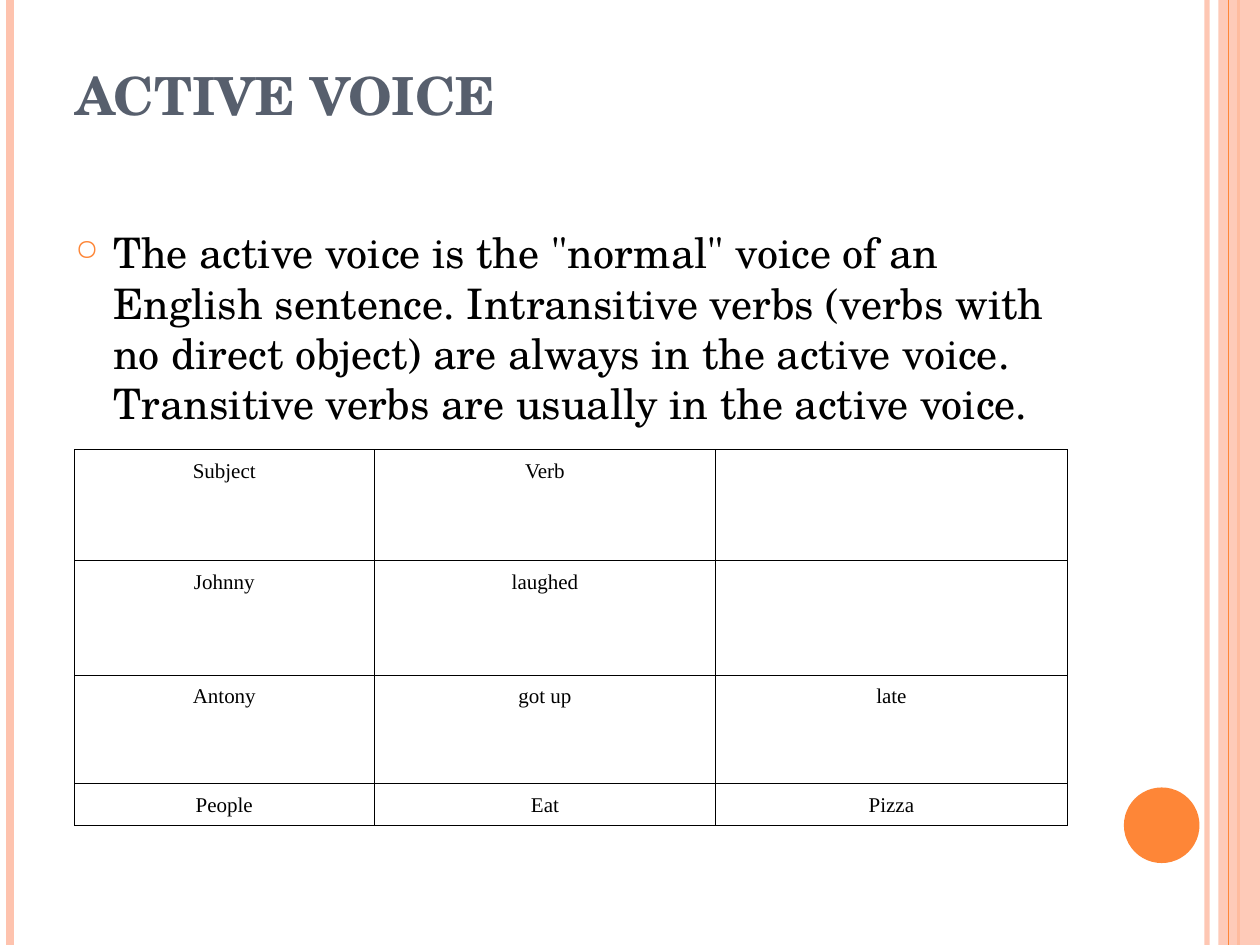
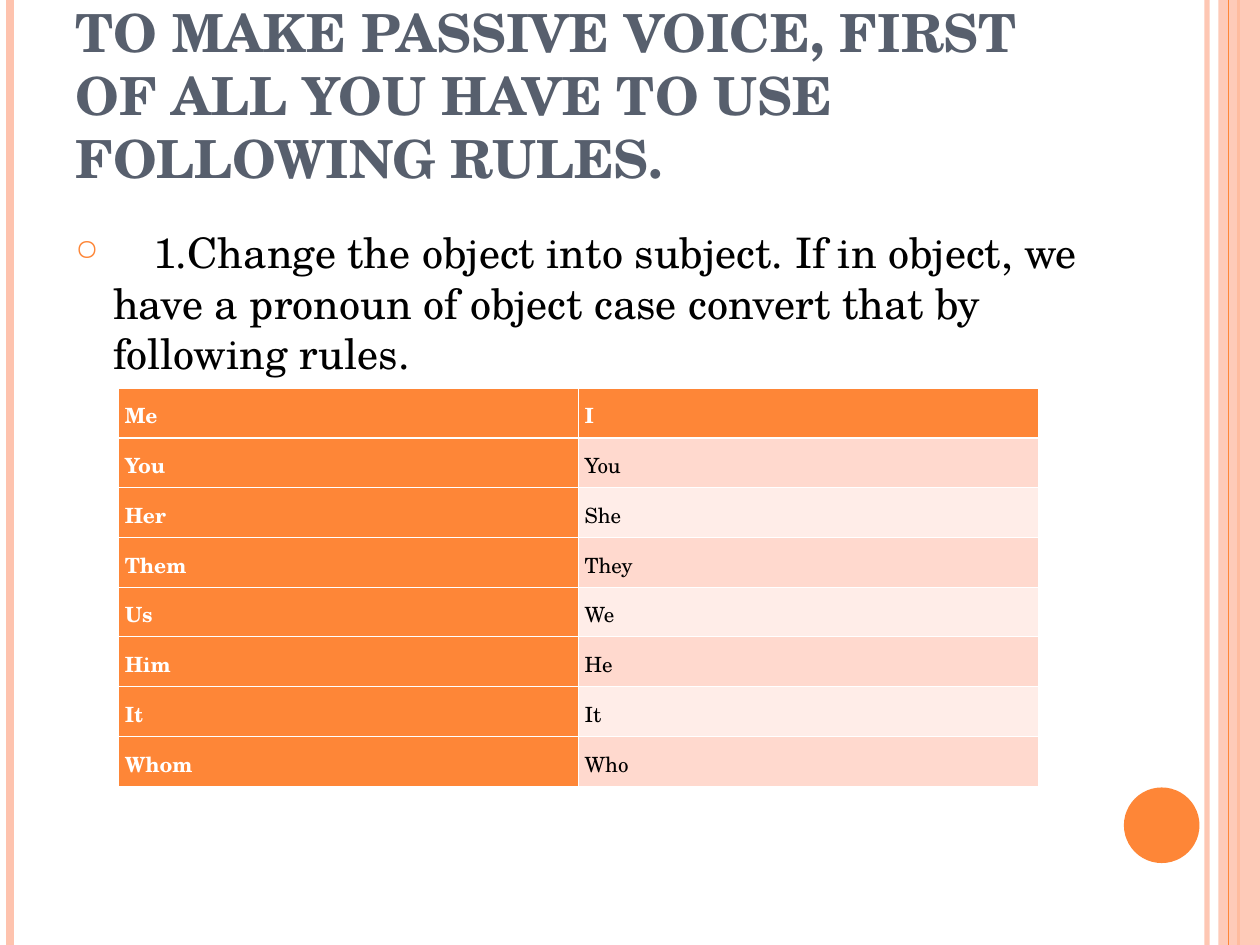
"""Build two grammar slides on the active and the passive voice."""
from lxml.etree import SubElement
from pptx import Presentation
from pptx.dml.color import RGBColor
from pptx.enum.shapes import MSO_CONNECTOR, MSO_SHAPE
from pptx.enum.text import MSO_ANCHOR, PP_ALIGN
from pptx.oxml.ns import qn
from pptx.util import Inches, Pt

W, H = 10, 7.5
SERIF, TIMES = "TeX Gyre Schola", "Times New Roman"
ORANGE, PEACH, SLATE = "FE8637", "FEC3AE", "575F6D"
BLACK, WHITE = "000000", "FFFFFF"
BANDS = ["FFD9CE", "FFEDE8"]

STRIPES_BACK = [(9.58, PEACH, 3, 93), (0.08, PEACH, 4.5, 100), (9.83, ORANGE, 1.5, 100)]
STRIPES_FRONT = [(9.75, ORANGE, 0.75, 100)]

ACTIVE = {
    "title": "ACTIVE VOICE",
    "body": 'The active voice is the "normal" voice of an English sentence. '
            "Intransitive verbs (verbs with no direct object) are always in the "
            "active voice. Transitive verbs are usually in the active voice.",
    "rows": [("Subject", "Verb", ""), ("Johnny", "laughed", ""),
             ("Antony", "got up", "late"), ("People", "Eat", "Pizza")],
    "at": (0.59, 3.57), "widths": [2.38, 2.71, 2.79], "heights": [0.88, 0.91, 0.86, 0.32],
}
PASSIVE = {
    "title": "TO MAKE PASSIVE VOICE, FIRST OF ALL YOU HAVE TO USE FOLLOWING RULES.",
    "body": "\t1.Change the object into subject. If in object, we have a pronoun "
            "of object case convert that by following rules.",
    "rows": [("Me", "I"), ("You", "You"), ("Her", "She"), ("Them", "They"),
             ("Us", "We"), ("Him", "He"), ("It", "It"), ("Whom", "Who")],
    "at": (0.94, 3.08), "widths": [3.65] * 2, "heights": [3.16 / 8] * 8,
}


def rgb(code):
    return RGBColor.from_string(code)


def set_alpha(sp, percent):
    for clr in sp._element.spPr.iter(qn("a:srgbClr")):
        SubElement(clr, qn("a:alpha"), val=str(percent * 1000))


def add_run(p, text, size, color, font=SERIF, bold=False):
    r = p.add_run()
    r.text = text
    r.font.name, r.font.size, r.font.bold = font, Pt(size), bold
    r.font.color.rgb = rgb(color)


def add_stripe(s, x, color, width, alpha):
    ln = s.shapes.add_connector(MSO_CONNECTOR.STRAIGHT, Inches(x), 0, Inches(x), Inches(H))
    ln.line.color.rgb, ln.line.width = rgb(color), Pt(width)
    SubElement(ln._element.spPr, qn("a:effectLst"))
    if alpha < 100:
        set_alpha(ln, alpha)


def add_plain(s, kind, box, color):
    sp = s.shapes.add_shape(kind, *map(Inches, box))
    sp.shadow.inherit = False
    sp.fill.solid()
    sp.fill.fore_color.rgb = rgb(color)
    sp.line.fill.background()
    return sp


def add_frame(s):
    for stripe in STRIPES_BACK:
        add_stripe(s, *stripe)
    set_alpha(add_plain(s, MSO_SHAPE.RECTANGLE, (9.67, 0, W - 9.67, H), PEACH), 87)
    for stripe in STRIPES_FRONT:
        add_stripe(s, *stripe)
    add_plain(s, MSO_SHAPE.OVAL, (8.92, 6.25, 0.6, 0.6), ORANGE)


def add_box(s, top, height):
    tf = s.shapes.add_textbox(*map(Inches, (0.5, top, 8.17, height))).text_frame
    tf.word_wrap = True
    return tf


def add_title(s, text):
    tf = add_box(s, 0, 1.5)
    tf.margin_top = tf.margin_bottom = 0
    tf.vertical_anchor = MSO_ANCHOR.MIDDLE
    add_run(tf.paragraphs[0], text, 30, SLATE, bold=True)


def add_body(s, text):
    p = add_box(s, 1.75, 5.33).paragraphs[0]
    pPr = p._p.get_or_add_pPr()
    pPr.set("marL", str(Inches(0.3)))
    pPr.set("indent", str(Inches(-0.3)))
    SubElement(SubElement(pPr, qn("a:buClr")), qn("a:srgbClr"), val=ORANGE)
    SubElement(pPr, qn("a:buSzPct"), val="70000")
    SubElement(pPr, qn("a:buChar"), char="○")
    if text.startswith("\t"):
        tabs = SubElement(pPr, qn("a:tabLst"))
        SubElement(tabs, qn("a:tab"), pos=str(Inches(0.62)), algn="l")
    add_run(p, text, 24, BLACK)


def set_borders(cell, color, **widths):
    tcPr = cell._tc.get_or_add_tcPr()
    for i, side in enumerate("LRTB"):
        ln = tcPr.makeelement(qn("a:ln" + side), {"w": str(Pt(widths.get(side, 0.45)))})
        SubElement(SubElement(ln, qn("a:solidFill")), qn("a:srgbClr"), val=color)
        tcPr.insert(i, ln)


def style_plain(cell, p, text, i, j):
    cell.fill.background()
    set_borders(cell, BLACK)
    p.alignment = PP_ALIGN.CENTER
    if text:
        add_run(p, text, 12, BLACK, TIMES)


def style_banded(cell, p, text, i, j):
    head = i == 0 or j == 0
    cell.fill.solid()
    cell.fill.fore_color.rgb = rgb(ORANGE if head else BANDS[(i - 1) % 2])
    cell.vertical_anchor = MSO_ANCHOR.MIDDLE
    cell.margin_left = cell.margin_right = Inches(0.05)
    set_borders(cell, WHITE, **{0: {"B": 1.47}, 1: {"T": 1.47}}.get(i, {}))
    add_run(p, text, 12, WHITE if head else BLACK, bold=head)


def add_grid(s, data, style):
    rows, widths, heights = data["rows"], data["widths"], data["heights"]
    size = (*data["at"], sum(widths), sum(heights))
    tbl = s.shapes.add_table(len(rows), len(widths), *map(Inches, size)).table
    for col, w in zip(tbl.columns, widths):
        col.width = Inches(w)
    for i, (texts, h) in enumerate(zip(rows, heights)):
        tbl.rows[i].height = Inches(h)
        for j, text in enumerate(texts):
            cell = tbl.cell(i, j)
            p = cell.text_frame.paragraphs[0]
            p.line_spacing = 1.15
            style(cell, p, text, i, j)


def main():
    prs = Presentation()
    prs.slide_width, prs.slide_height = Inches(W), Inches(H)
    for data, style in ((ACTIVE, style_plain), (PASSIVE, style_banded)):
        s = prs.slides.add_slide(prs.slide_layouts[6])
        add_frame(s)
        add_title(s, data["title"])
        add_body(s, data["body"])
        add_grid(s, data, style)
    prs.save("out.pptx")


if __name__ == "__main__":
    main()
